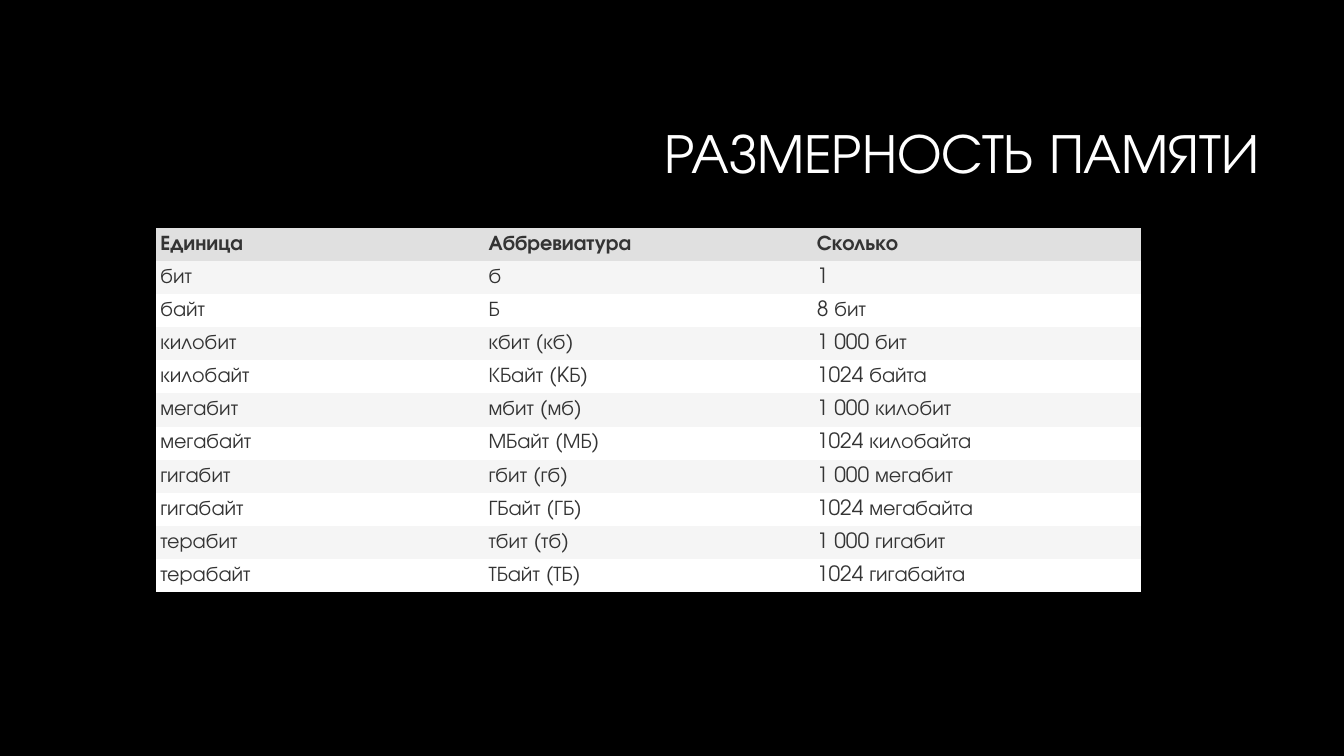
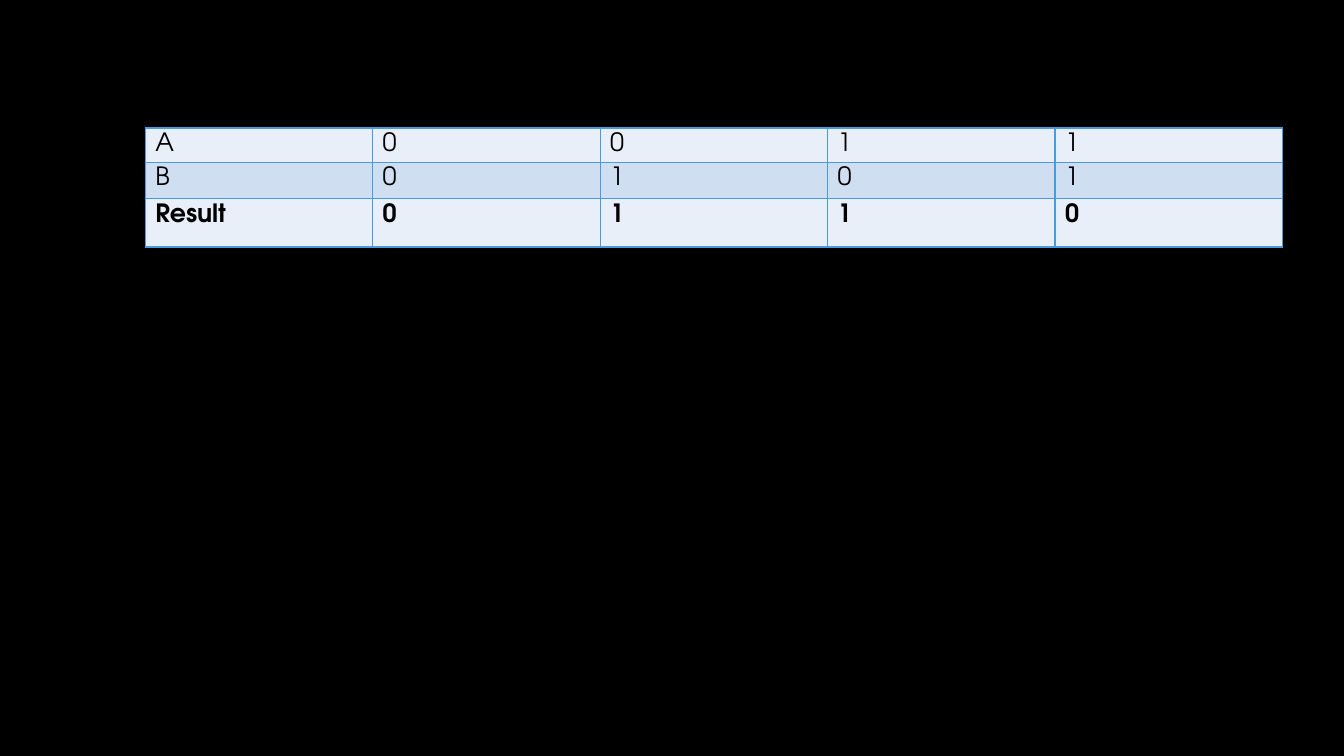
from lxml.etree import SubElement
from pptx import Presentation
from pptx.dml.color import RGBColor
from pptx.enum.text import MSO_ANCHOR, PP_ALIGN
from pptx.oxml.ns import qn
from pptx.util import Inches, Pt

FONT = "TeX Gyre Adventor"
BLACK = RGBColor(0x00, 0x00, 0x00)
WHITE = RGBColor(0xFF, 0xFF, 0xFF)
CHARCOAL = RGBColor(0x34, 0x34, 0x34)
HEADER_GREY = RGBColor(0xE0, 0xE0, 0xE0)
BAND_GREY = RGBColor(0xF5, 0xF5, 0xF5)
PALE_BLUE = RGBColor(0xE9, 0xEF, 0xF9)
BAND_BLUE = RGBColor(0xD0, 0xDE, 0xF2)
GRID_BLUE = RGBColor(0x4A, 0x9B, 0xDC)
PLAIN_STYLE = "{2D5ABB26-0587-4C30-8999-92F81FD0307C}"
TITLE_ONLY, BLANK = 5, 6

MEMORY_TITLE = "РАЗМЕРНОСТЬ ПАМЯТИ"
MEMORY_UNITS = [
    ("Единица", "Аббревиатура", "Сколько"),
    ("бит", "б", "1"),
    ("байт", "Б", "8 бит"),
    ("килобит", "кбит (кб)", "1 000 бит"),
    ("килобайт", "КБайт (KБ)", "1024 байта"),
    ("мегабит", "мбит (мб)", "1 000 килобит"),
    ("мегабайт", "МБайт (МБ)", "1024 килобайта"),
    ("гигабит", "гбит (гб)", "1 000 мегабит"),
    ("гигабайт", "ГБайт (ГБ)", "1024 мегабайта"),
    ("терабит", "тбит (тб)", "1 000 гигабит"),
    ("терабайт", "ТБайт (ТБ)", "1024 гигабайта"),
]
XOR_TRUTH = [
    ("A", "0", "0", "1", "1"),
    ("B", "0", "1", "0", "1"),
    ("Result", "0", "1", "1", "0"),
]


def add_run(paragraph, text, size, color, bold=False):
    run = paragraph.add_run()
    run.text = text
    run.font.name = FONT
    run.font.size = Pt(size)
    run.font.bold = bold
    run.font.color.rgb = color


def add_title(slide, text):
    title = slide.shapes.title
    title.left, title.top = Inches(3.17), Inches(0.84)
    title.width, title.height = Inches(9.42), Inches(1.41)
    title.text_frame.vertical_anchor = MSO_ANCHOR.MIDDLE
    paragraph = title.text_frame.paragraphs[0]
    paragraph.alignment = PP_ALIGN.RIGHT
    paragraph.line_spacing = 0.9
    add_run(paragraph, text, 40, WHITE)


def add_borders(cell, color):
    properties = cell._tc.get_or_add_tcPr()
    for position, side in enumerate(("lnL", "lnR", "lnT", "lnB")):
        line = SubElement(properties, qn(f"a:{side}"), w=str(Pt(1)))
        fill = SubElement(line, qn("a:solidFill"))
        SubElement(fill, qn("a:srgbClr"), val=str(color))
        properties.insert(position, line)


def add_grid(slide, content, left, top, width, row_heights, fills, bold_row,
             size, color, margins, anchor, border=None):
    frame = slide.shapes.add_table(
        len(content), len(content[0]), Inches(left), Inches(top),
        Inches(width), Inches(sum(row_heights)))
    table = frame.table
    table.first_row = table.horz_banding = False
    table._tbl.tblPr.find(qn("a:tableStyleId")).text = PLAIN_STYLE
    side_margin, end_margin = (Inches(margin) for margin in margins)
    for r, (texts, height, fill) in enumerate(zip(content, row_heights, fills)):
        table.rows[r].height = Inches(height)
        for c, text in enumerate(texts):
            cell = table.cell(r, c)
            cell.margin_left = cell.margin_right = side_margin
            cell.margin_top = cell.margin_bottom = end_margin
            cell.vertical_anchor = anchor
            cell.fill.solid()
            cell.fill.fore_color.rgb = fill
            if border is not None:
                add_borders(cell, border)
            add_run(cell.text_frame.paragraphs[0], text, size, color,
                    r == bold_row)


def main():
    deck = Presentation()
    deck.slide_width, deck.slide_height = Inches(13.33), Inches(7.5)
    background = deck.slide_master.background.fill
    background.solid()
    background.fore_color.rgb = BLACK

    memory = deck.slides.add_slide(deck.slide_layouts[TITLE_ONLY])
    add_title(memory, MEMORY_TITLE)
    add_grid(memory, MEMORY_UNITS, 1.55, 2.26, 9.77,
             [3.62 / len(MEMORY_UNITS)] * len(MEMORY_UNITS),
             [HEADER_GREY] + [BAND_GREY, WHITE] * 5, 0,
             15, CHARCOAL, (0.04, 0.04), MSO_ANCHOR.MIDDLE)

    truth = deck.slides.add_slide(deck.slide_layouts[BLANK])
    add_grid(truth, XOR_TRUTH, 1.44, 1.27, 11.28, [0.34, 0.36, 0.48],
             [PALE_BLUE, BAND_BLUE, PALE_BLUE], 2,
             18, BLACK, (0.1, 0.05), MSO_ANCHOR.TOP, GRID_BLUE)

    deck.save("out.pptx")


if __name__ == "__main__":
    main()
